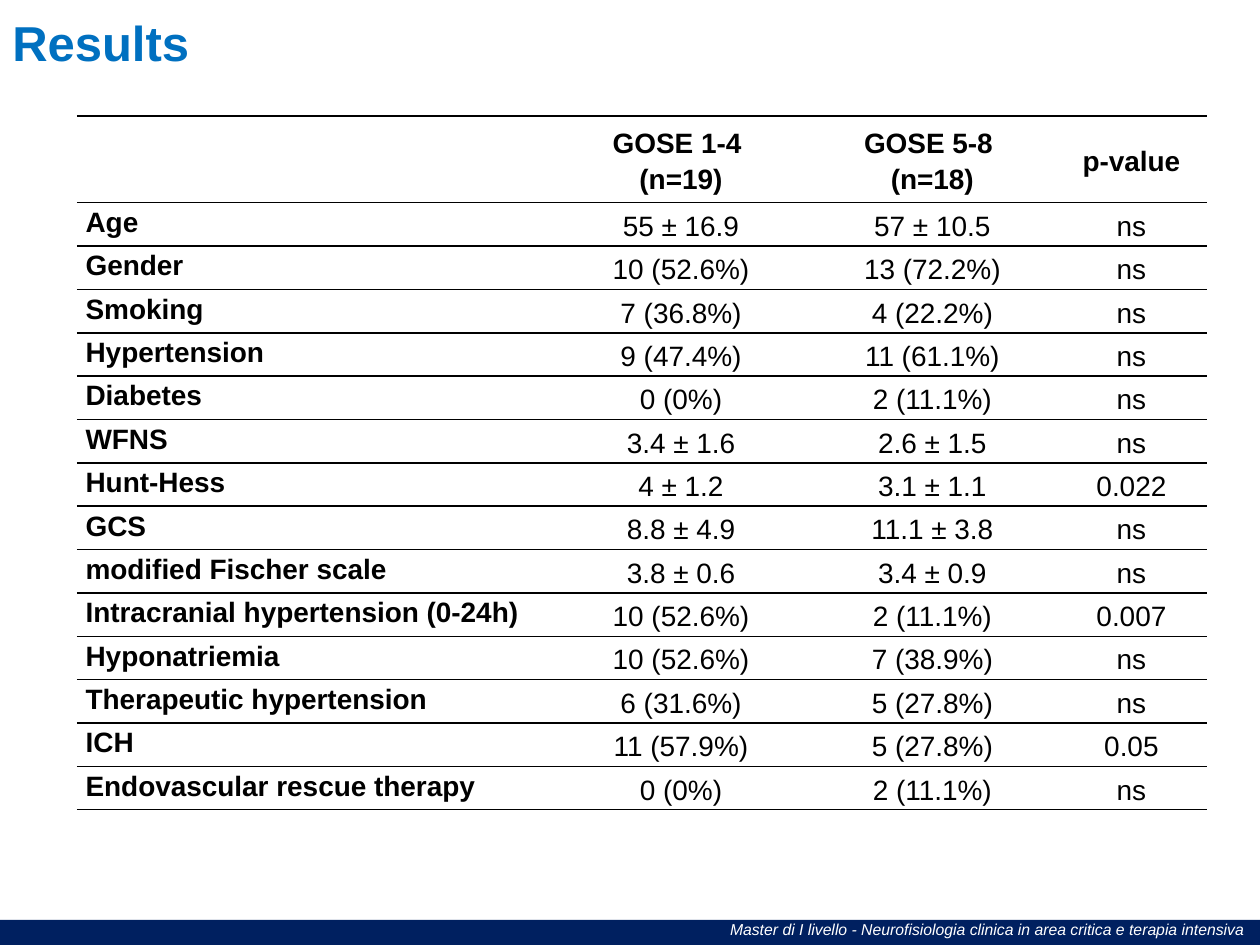
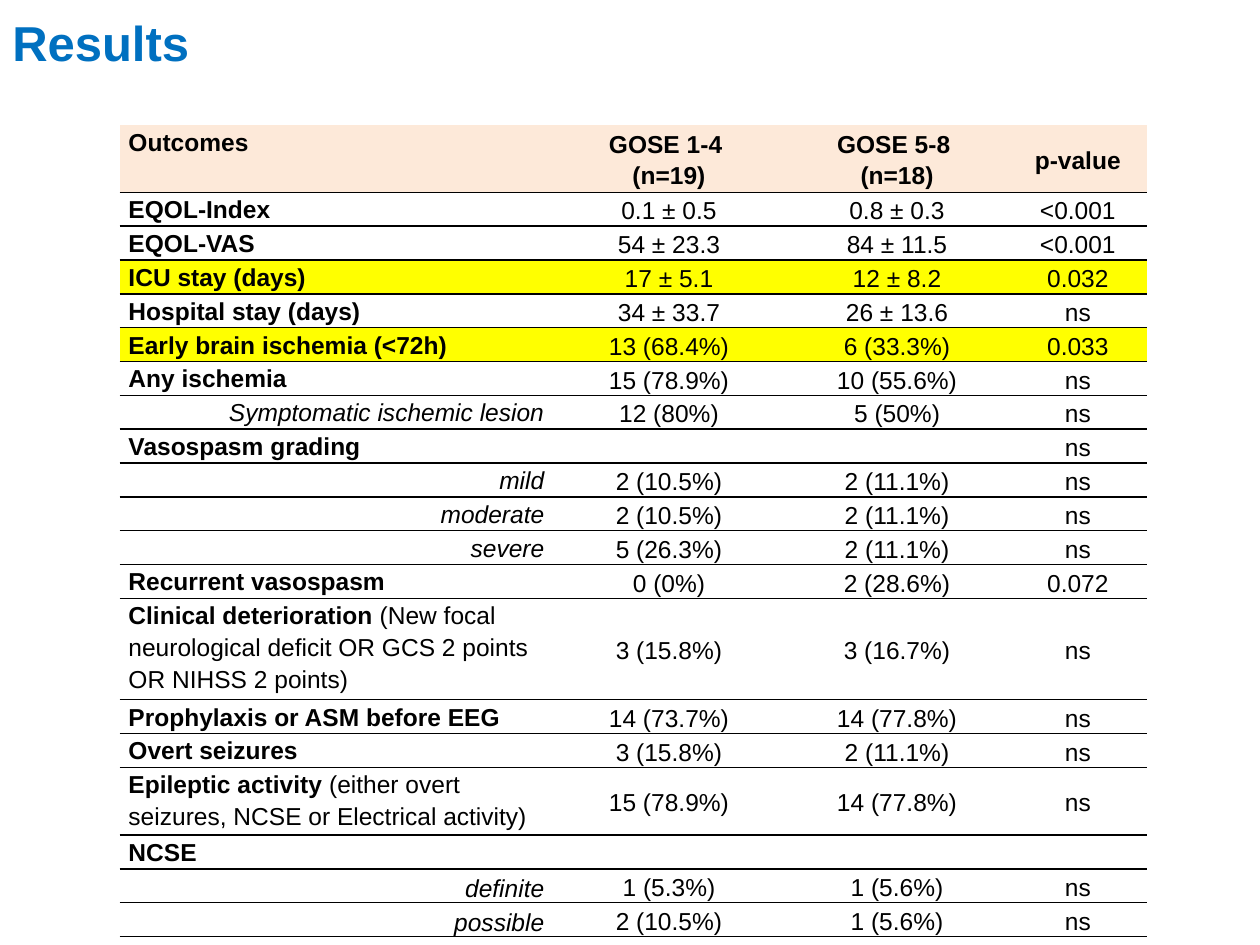
"""Build two results slides with clinical comparison tables."""
from lxml.etree import SubElement
from pptx import Presentation
from pptx.dml.color import RGBColor
from pptx.enum.shapes import MSO_SHAPE
from pptx.enum.text import MSO_ANCHOR, PP_ALIGN
from pptx.oxml.ns import qn
from pptx.util import Inches, Pt

COLUMNS, ROWS = 100, 75
NO_STYLE = "{2D5ABB26-0587-4C30-8999-92F81FD0307C}"
GROUPS = ("GOSE 1-4 \n(n=19)", "GOSE 5-8 \n(n=18)", "p-value")

BASELINE = [
    ("", *GROUPS),
    ("Age", "55 ± 16.9", "57 ± 10.5", "ns"),
    ("Gender", "10 (52.6%)", "13 (72.2%)", "ns"),
    ("Smoking", "7 (36.8%)", "4 (22.2%)", "ns"),
    ("Hypertension", "9 (47.4%)", "11 (61.1%)", "ns"),
    ("Diabetes", "0 (0%)", "2 (11.1%)", "ns"),
    ("WFNS", "3.4 ± 1.6", "2.6 ± 1.5", "ns"),
    ("Hunt-Hess", "4 ± 1.2", "3.1 ± 1.1", "0.022"),
    ("GCS", "8.8 ± 4.9", "11.1 ± 3.8", "ns"),
    ("modified Fischer scale", "3.8 ± 0.6", "3.4 ± 0.9", "ns"),
    ("Intracranial hypertension (0-24h)", "10 (52.6%)", "2 (11.1%)", "0.007"),
    ("Hyponatriemia", "10 (52.6%)", "7 (38.9%)", "ns"),
    ("Therapeutic hypertension", "6 (31.6%)", "5 (27.8%)", "ns"),
    ("ICH", "11 (57.9%)", "5 (27.8%)", "0.05"),
    ("Endovascular rescue therapy", "0 (0%)", "2 (11.1%)", "ns"),
]

OUTCOMES = [
    ("Outcomes", *GROUPS),
    ("EQOL-Index", "0.1 ± 0.5", "0.8 ± 0.3", "<0.001"),
    ("EQOL-VAS", "54 ± 23.3", "84 ± 11.5", "<0.001"),
    ("ICU stay (days)", "17 ± 5.1", "12 ± 8.2", "0.032"),
    ("Hospital stay (days)", "34 ± 33.7", "26 ± 13.6", "ns"),
    ("Early brain ischemia (<72h)", "13 (68.4%)", "6 (33.3%)", "0.033"),
    ("Any ischemia", "15 (78.9%)", "10 (55.6%)", "ns"),
    ("Symptomatic ischemic lesion", "12 (80%)", "5 (50%)", "ns"),
    ("Vasospasm grading", "", "", "ns"),
    ("mild", "2 (10.5%)", "2 (11.1%)", "ns"),
    ("moderate", "2 (10.5%)", "2 (11.1%)", "ns"),
    ("severe", "5 (26.3%)", "2 (11.1%)", "ns"),
    ("Recurrent vasospasm", "0 (0%)", "2 (28.6%)", "0.072"),
    ("Clinical deterioration ", "3 (15.8%)", "3 (16.7%)", "ns"),
    ("Prophylaxis or ASM before EEG", "14 (73.7%)", "14 (77.8%)", "ns"),
    ("Overt seizures", "3 (15.8%)", "2 (11.1%)", "ns"),
    ("Epileptic activity ", "15 (78.9%)", "14 (77.8%)", "ns"),
    ("NCSE", "", "", ""),
    ("definite", "1 (5.3%)", "1 (5.6%)", "ns"),
    ("possible", "2 (10.5%)", "1 (5.6%)", "ns"),
]

DETAILS = {
    "Clinical deterioration ":
        "(New focal neurological deficit OR GCS 2 points OR NIHSS 2 points)",
    "Epileptic activity ":
        "(either overt seizures, NCSE or Electrical activity)",
}
LINE_COUNTS = {"Clinical deterioration ": 3, "Epileptic activity ": 2}
NCSE_GRADES = {"definite", "possible"}
SUBITEMS = {"Symptomatic ischemic lesion", "mild", "moderate", "severe"} | NCSE_GRADES
HIGHLIGHTED = {"ICU stay (days)", "Early brain ischemia (<72h)"}


def color(code):
    """Turn a hex string into a colour."""
    return RGBColor.from_string(code)


class Deck:
    """Hold the shared style and the current slide."""

    font = "Arial"
    blue, navy, black, white = "0070C0", "002060", "000000", "FFFFFF"
    peach, yellow = "FDE9D9", "FFFF00"

    def __init__(self):
        """Open an empty 4:3 presentation."""
        self.presentation = Presentation()
        self.presentation.slide_width = Inches(10)
        self.presentation.slide_height = Inches(7.5)

    def across(self, columns):
        """Convert grid columns to a length."""
        return round(self.presentation.slide_width * columns / COLUMNS)

    def down(self, rows):
        """Convert grid rows to a length."""
        return round(self.presentation.slide_height * rows / ROWS)

    def area(self, left, top, width, height):
        """Convert a grid area to lengths."""
        return self.across(left), self.down(top), self.across(width), self.down(height)

    def new_slide(self, heading):
        """Start a blank slide with its title."""
        self.slide = self.presentation.slides.add_slide(self.presentation.slide_layouts[6])
        self.text((0, 0.5, 91.3, 12.5), heading, 28, self.blue, bold=True)

    def run(self, paragraph, words, size, code, bold=False, italic=False):
        """Add one styled run per line of words."""
        for index, line in enumerate(words.split("\n")):
            if index:
                paragraph.add_line_break()
            run = paragraph.add_run()
            run.text = line
            run.font.name, run.font.size = self.font, Pt(size)
            run.font.bold, run.font.italic = bold, italic
            run.font.color.rgb = color(code)

    def text(self, area, words, size, code, align=PP_ALIGN.LEFT, **emphasis):
        """Add a wrapped text box."""
        frame = self.slide.shapes.add_textbox(*self.area(*area)).text_frame
        frame.word_wrap = True
        frame.paragraphs[0].alignment = align
        self.run(frame.paragraphs[0], words, size, code, **emphasis)

    def footer(self, words):
        """Add the bottom band and its caption."""
        band = self.slide.shapes.add_shape(MSO_SHAPE.RECTANGLE, *self.area(0, 73, 100, 2))
        band.shadow.inherit = False
        band.fill.solid()
        band.fill.fore_color.rgb = color(self.navy)
        band.line.fill.background()
        self.text((20.2, 72.5, 79.5, 2.5), words, 9, self.white, PP_ALIGN.RIGHT, italic=True)

    def rule(self, cell, side):
        """Draw a thin line on one side of a cell."""
        line = SubElement(cell._tc.get_or_add_tcPr(), qn(f"a:{side}"), w=str(Pt(1)))
        SubElement(SubElement(line, qn("a:solidFill")), qn("a:srgbClr"), val=self.black)

    def cell(self, cell, words, size, align, anchor, shade, top_rule, **emphasis):
        """Fill and style one table cell."""
        cell.margin_left = cell.margin_right = Inches(0.07)
        cell.margin_top = cell.margin_bottom = 0
        cell.vertical_anchor = anchor
        if top_rule:
            self.rule(cell, "lnT")
        self.rule(cell, "lnB")
        if shade:
            cell.fill.solid()
            cell.fill.fore_color.rgb = color(shade)
        else:
            cell.fill.background()
        paragraph = cell.text_frame.paragraphs[0]
        paragraph.alignment, paragraph.line_spacing = align, 1.15
        if words:
            self.run(paragraph, words, size, self.black, **emphasis)
        else:
            SubElement(paragraph._p, qn("a:endParaRPr"), sz=str(size * 100))

    def table(self, area, widths, records, size, header_shade=None):
        """Add a ruled table whose row heights follow its line counts."""
        shape = self.slide.shapes.add_table(len(records), len(widths), *self.area(*area))
        table = shape.table
        table.first_row = table.horz_banding = False
        table._tbl.tblPr.find(qn("a:tableStyleId")).text = NO_STYLE
        for column, width in zip(table.columns, widths):
            column.width = self.across(width)
        lines = [2] + [LINE_COUNTS.get(record[0], 1) for record in records[1:]]
        for index, (label, *values) in enumerate(records):
            header = index == 0
            row = table.rows[index]
            row.height = self.down(area[3] * lines[index] / sum(lines))
            shade = header_shade if header else self.yellow if label in HIGHLIGHTED else None
            top_rule = header and not header_shade
            subitem = label in SUBITEMS
            self.cell(row.cells[0], label, size,
                      PP_ALIGN.RIGHT if subitem else PP_ALIGN.LEFT,
                      MSO_ANCHOR.BOTTOM if label in NCSE_GRADES else MSO_ANCHOR.TOP,
                      shade, top_rule, bold=not subitem, italic=subitem)
            if label in DETAILS:
                self.run(row.cells[0].text_frame.paragraphs[0], DETAILS[label], size, self.black)
            for column, value in enumerate(values, 1):
                self.cell(row.cells[column], value, size, PP_ALIGN.CENTER,
                          MSO_ANCHOR.MIDDLE, shade, top_rule, bold=header)


def main():
    """Build and save both slides."""
    deck = Deck()
    deck.new_slide("Results")
    deck.table((6.1, 9.2, 89.6, 55.1), (37.8, 20.3, 19.6, 12), BASELINE, 16)
    deck.footer("Master di I livello - Neurofisiologia clinica in area critica e terapia intensiva")
    deck.new_slide("Results")
    deck.table((9.5, 9.9, 81.5, 64.4), (34.4, 18.4, 17.8, 10.9), OUTCOMES, 14, deck.peach)
    deck.presentation.save("out.pptx")


if __name__ == "__main__":
    main()
